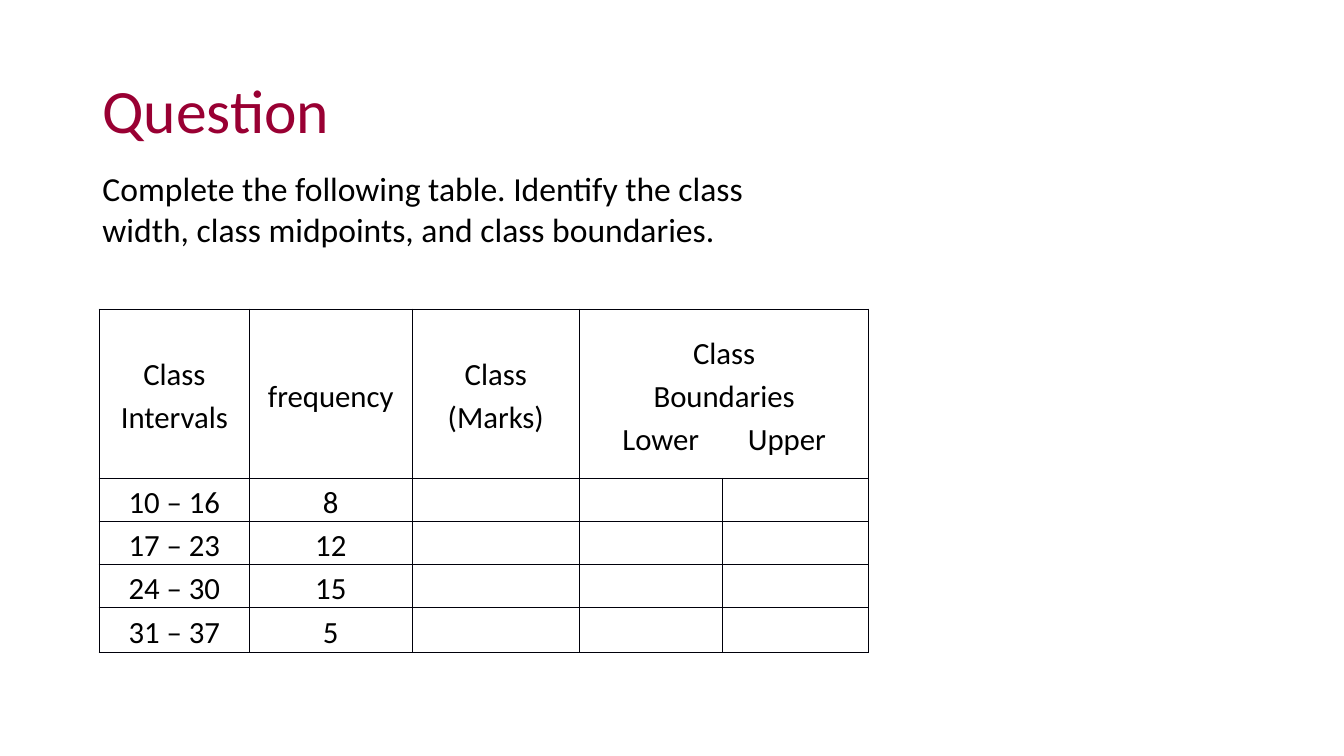
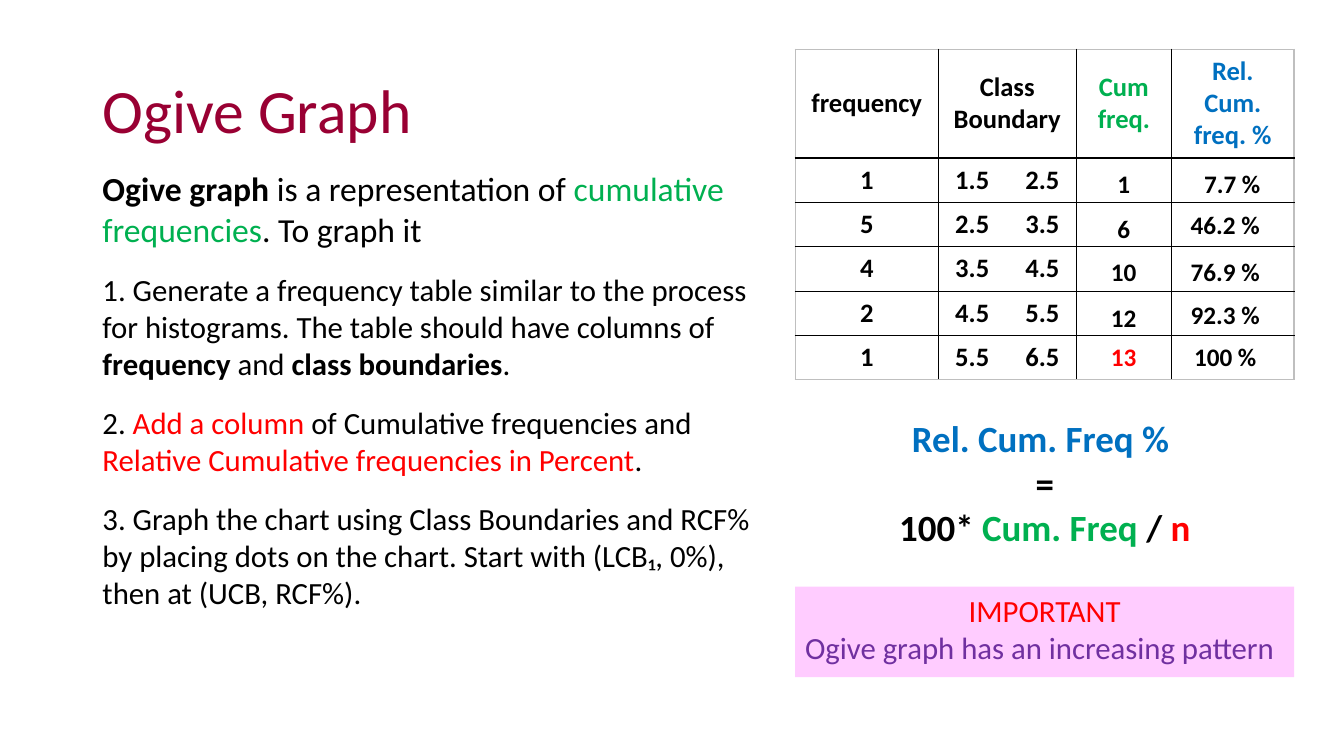
from dataclasses import dataclass
from typing import NamedTuple, Sequence

from lxml.etree import SubElement
from pptx import Presentation
from pptx.dml.color import RGBColor
from pptx.enum.shapes import MSO_SHAPE as Shape
from pptx.enum.text import MSO_ANCHOR as Anchor, MSO_AUTO_SIZE as AutoSize, PP_ALIGN as Align
from pptx.oxml.ns import qn
from pptx.util import Pt

FONT = "Calibri"
MAROON, BLACK, GREEN, BLUE = "990033", "000000", "00B050", "0070C0"
RED, PURPLE, PINK, GREY, INK = "FF0000", "7030A0", "FFCCFF", "BFBFBF", "00000A"
LEFT = 66


class Box(NamedTuple):
    left: float
    top: float
    width: float
    height: float


class Run(NamedTuple):
    text: str
    color: str | None = None
    bold: bool | None = None
    tracking: float = 0


@dataclass(frozen=True)
class Para:
    runs: Sequence[Run]
    size: float
    color: str = BLACK
    bold: bool = False
    align: Align = Align.LEFT
    spacing: float = 1.0
    before: float = 0


@dataclass(frozen=True)
class Cell:
    paras: Sequence[Para] = ()
    margins: tuple[float, float, float, float] = (6.5, 0, 6.5, 0)
    anchor: Anchor = Anchor.MIDDLE
    span: int = 1


@dataclass(frozen=True)
class Grid:
    left: float
    top: float
    columns: Sequence[float]
    rows: Sequence[float]
    inner: str
    outer: str


@dataclass(frozen=True)
class Record:
    frequency: int
    lower: float
    cumulative: int
    percent: str
    cumulative_top: float
    percent_box: Box


def rgb(color: str) -> RGBColor:
    return RGBColor.from_string(color)


def place(shape, box: Box) -> None:
    shape.left, shape.top, shape.width, shape.height = map(Pt, box)


def write(frame, paras: Sequence[Para]) -> None:
    for index, para in enumerate(paras):
        paragraph = frame.paragraphs[0] if index == 0 else frame.add_paragraph()
        paragraph.alignment = para.align
        paragraph.line_spacing = para.spacing
        paragraph.space_before, paragraph.space_after = Pt(para.before), Pt(0)
        # Flush left, no bullet
        props = paragraph._p.get_or_add_pPr()
        props.set("marL", "0")
        props.set("indent", "0")
        SubElement(props, qn("a:buNone"))
        font = paragraph.font
        font.name, font.size, font.bold = FONT, Pt(para.size), para.bold
        font.color.rgb = rgb(para.color)
        for part in para.runs:
            run = paragraph.add_run()
            run.text = part.text
            if part.bold is not None:
                run.font.bold = part.bold
            if part.color:
                run.font.color.rgb = rgb(part.color)
            if part.tracking:
                run._r.get_or_add_rPr().set("spc", str(round(part.tracking * 100)))


def pair(first: str, second: str, gap: float) -> list[Run]:
    """Two words set apart by one widened space."""
    return [Run(first), Run(" ", tracking=gap), Run(second)]


def add_page(deck, heading: str, box: Box, body: Sequence[Para]):
    """Add a slide with the shared title style and an unbulleted body."""
    slide = deck.slides.add_slide(deck.slide_layouts[1])
    title, content = slide.shapes.title, slide.placeholders[1]
    place(title, Box(LEFT, 29, 576, 104))
    place(content, box)
    for holder, anchor in ((title, Anchor.MIDDLE), (content, Anchor.TOP)):
        holder.text_frame.auto_size = AutoSize.NONE
        holder.text_frame.vertical_anchor = anchor
    write(title.text_frame, [Para([Run(heading)], 44, MAROON, spacing=0.9)])
    write(content.text_frame, body)
    return slide


def add_text(slide, box: Box, paras: Sequence[Para], wrap: bool = True) -> None:
    frame = slide.shapes.add_textbox(*map(Pt, box)).text_frame
    frame.word_wrap = wrap
    write(frame, paras)


def set_borders(cell, colors: dict[str, str]) -> None:
    props = cell._tc.get_or_add_tcPr()
    for position, (edge, color) in enumerate(colors.items()):
        line = props.makeelement(qn(f"a:{edge}"), {"w": str(Pt(1))})
        fill = SubElement(line, qn("a:solidFill"))
        SubElement(fill, qn("a:srgbClr"), val=color)
        props.insert(position, line)


def add_grid(slide, grid: Grid, content: Sequence[Sequence[Cell]]) -> None:
    last_row, last_column = len(grid.rows) - 1, len(grid.columns) - 1
    table = slide.shapes.add_table(
        last_row + 1, last_column + 1, Pt(grid.left), Pt(grid.top),
        Pt(sum(grid.columns)), Pt(sum(grid.rows))).table
    table.first_row = table.horz_banding = False
    for column, width in zip(table.columns, grid.columns):
        column.width = Pt(width)
    for row, height in zip(table.rows, grid.rows):
        row.height = Pt(height)
    for r in range(last_row + 1):
        for c in range(last_column + 1):
            cell = table.cell(r, c)
            cell.fill.background()
            on_rim = {"lnL": c == 0, "lnR": c == last_column,
                      "lnT": r == 0, "lnB": r == last_row}
            set_borders(cell, {edge: grid.outer if rim else grid.inner
                               for edge, rim in on_rim.items()})
    for r, entries in enumerate(content):
        for c, entry in enumerate(entries):
            cell = table.cell(r, c)
            if entry.span > 1:
                cell.merge(table.cell(r, c + entry.span - 1))
            (cell.margin_left, cell.margin_top,
             cell.margin_right, cell.margin_bottom) = map(Pt, entry.margins)
            cell.vertical_anchor = entry.anchor
            write(cell.text_frame, entry.paras)


def build_question(deck) -> None:
    slide = add_page(deck, "Question", Box(LEFT, 116.6, 495, 65.5), [
        Para([Run("Complete the following table. Identify the class width, "
                  "class midpoints, and class boundaries.")], 24)])

    def centred(*lines: Sequence[Run]) -> list[Para]:
        return [Para(line, 22, align=Align.CENTER, spacing=1.15) for line in lines]

    # Frequency table to fill in
    header = [Cell(centred([Run("Class")], [Run("Intervals")])),
              Cell(centred([Run("frequency")])),
              Cell(centred([Run("Class")], [Run("(Marks)")])),
              Cell(centred([Run("Class")], [Run("Boundaries")],
                           pair("Lower", "Upper", 29.8)), span=2)]
    classes = [("10 – 16", "8"), ("17 – 23", "12"), ("24 – 30", "15"), ("31 – 37", "5")]
    grid = Grid(70.9, 220.8, (107.3, 116.2, 119.5, 102, 104.8),
                (121, 30.2, 30.2, 30.2, 31.7), INK, INK)
    add_grid(slide, grid, [header] + [[Cell(centred([Run(text)])) for text in row]
                                      for row in classes])


def build_ogive(deck) -> None:
    # Definition and steps
    steps = [
        [Run("1. Generate a frequency table similar to the process for histograms. "
             "The table should have columns of "), Run("frequency", bold=True),
         Run(" and "), Run("class boundaries", bold=True), Run(".")],
        [Run("2. "), Run("Add a column ", RED), Run("of Cumulative frequencies and "),
         Run("Relative Cumulative frequencies in Percent", RED), Run(".")],
        [Run("3. Graph the chart using Class Boundaries and RCF% by placing dots on "
             "the chart. Start with (LCB₁, 0%), then at (UCB, RCF%).")],
    ]
    definition = Para([Run("Ogive graph", bold=True), Run(" is a representation of "),
                       Run("cumulative frequencies", GREEN), Run(". To graph it")], 24)
    slide = add_page(deck, "Ogive Graph", Box(LEFT, 116.6, 478, 324),
                     [definition] + [Para(step, 22, before=15.8) for step in steps])

    # Frequency table
    padding = (8.6, 4.3, 8.6, 4.3)

    def bold(runs: Sequence[Run], size: float = 19, color: str = BLACK) -> list[Para]:
        return [Para(runs, size, color, True, Align.CENTER)]

    headings = [("frequency", BLACK), ("Class Boundary", BLACK),
                ("Cum freq.", GREEN), ("Rel. Cum. freq. %", BLUE)]
    records = [
        Record(1, 1.5, 1, "7.7 %", 116.6, Box(852.5, 116.6, 55.4, 29)),
        Record(5, 2.5, 6, "46.2 %", 149, Box(843.1, 146.2, 64.1, 29)),
        Record(4, 3.5, 10, "76.9 %", 179.3, Box(843.1, 179.3, 64.1, 29)),
        Record(2, 4.5, 12, "92.3 %", 212.4, Box(843.1, 210.2, 64.1, 29)),
        Record(1, 5.5, 13, "100 %", 240.5, Box(845.3, 240.5, 59.8, 29)),
    ]
    content = [[Cell(bold([Run(text)], color=color), padding) for text, color in headings]]
    content += [[Cell(bold([Run(str(record.frequency))]), padding, Anchor.TOP),
                 Cell(bold(pair(str(record.lower), str(record.lower + 1), 21.5)),
                      padding, Anchor.TOP)] for record in records]
    grid = Grid(568, 35.1, (102.2, 98.6, 68, 87.6), (77.8,) + (31.7,) * 5, BLACK, GREY)
    add_grid(slide, grid, content)

    # Answers laid over the two cumulative columns
    total = records[-1].cumulative
    for record in records:
        color = RED if record.cumulative == total else BLACK
        add_text(slide, Box(786.2, record.cumulative_top, 33, 29),
                 bold([Run(str(record.cumulative))], 18, color), wrap=False)
        add_text(slide, record.percent_box, bold([Run(record.percent)], 18), wrap=False)

    # Formula
    formula = [[Run("Rel. Cum. Freq % ", BLUE)], [Run("=")],
               [Run("100* "), Run("Cum. Freq ", GREEN), Run("/ "), Run("n", RED)]]
    add_text(slide, Box(633.6, 293.6, 225.4, 103),
             [Para(line, 26.4, bold=True, align=Align.CENTER) for line in formula])

    # Key reminder
    reminder = slide.shapes.add_shape(Shape.RECTANGLE, *map(Pt, Box(568, 419, 356.4, 64.8)))
    reminder.shadow.inherit = False
    reminder.fill.solid()
    reminder.fill.fore_color.rgb = rgb(PINK)
    reminder.line.fill.background()
    reminder.text_frame.vertical_anchor = Anchor.TOP
    write(reminder.text_frame, [
        Para([Run("IMPORTANT")], 22, RED, align=Align.CENTER),
        Para([Run("Ogive graph has an increasing pattern")], 22, PURPLE)])


def main() -> None:
    deck = Presentation()
    deck.slide_width, deck.slide_height = Pt(960), Pt(540)
    build_question(deck)
    build_ogive(deck)
    deck.save("out.pptx")


if __name__ == "__main__":
    main()
